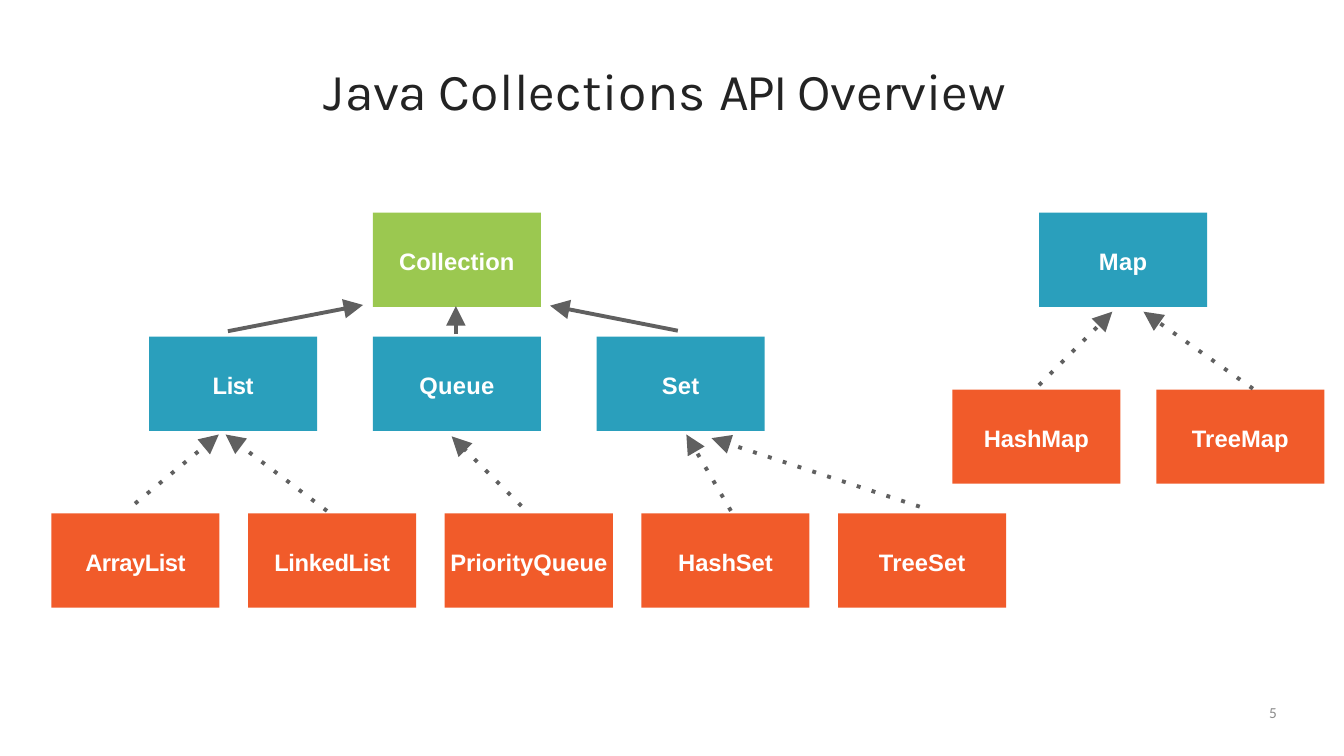
from lxml import etree
from pptx import Presentation
from pptx.dml.color import RGBColor
from pptx.enum import shapes, text
from pptx.oxml import ns
from pptx.util import Pt

GREEN = RGBColor(0x9B, 0xC8, 0x50)
BLUE = RGBColor(0x2A, 0x9F, 0xBC)
ORANGE = RGBColor(0xF1, 0x5B, 0x2A)
GREY = RGBColor(0x60, 0x60, 0x60)
WHITE = RGBColor(0xFF, 0xFF, 0xFF)
DARK = RGBColor(0x23, 0x23, 0x23)
PALE = RGBColor(0x8C, 0x8C, 0x8C)

BOX_W, BOX_H = 198, 111


def write(sp, runs, font="Arial", size=28, color=WHITE, bold=False, wrap=True, top=0,
          align=text.PP_ALIGN.CENTER, anchor=text.MSO_ANCHOR.TOP):
    """Fill a shape with one paragraph made of (text, letter spacing) runs."""
    tf = sp.text_frame
    tf.word_wrap = wrap
    tf.vertical_anchor = anchor
    tf.margin_left = tf.margin_right = tf.margin_bottom = 0
    tf.margin_top = Pt(top)
    p = tf.paragraphs[0]
    p.alignment = align
    for words, spacing in runs:
        r = p.add_run()
        r.text = words
        r.font.name, r.font.size, r.font.bold = font, Pt(size), bold
        r.font.color.rgb = color
        r.font._element.set("spc", str(round(spacing * 100)))


def type_box(s, x, y, label, fill, spacing=0):
    """Draw one box for a collection type."""
    sp = s.shapes.add_shape(shapes.MSO_SHAPE.RECTANGLE, Pt(x), Pt(y), Pt(BOX_W), Pt(BOX_H))
    sp.shadow.inherit = False
    sp.fill.solid()
    sp.fill.fore_color.rgb = fill
    sp.line.fill.background()
    write(sp, [(label, spacing)], bold=True, wrap=False, top=3, anchor=text.MSO_ANCHOR.MIDDLE)


def arrow(s, x, y, points, dotted=False):
    """Draw an arrow from subtype to supertype, relative to x and y."""
    x1, y1, x2, y2 = points
    c = s.shapes.add_connector(shapes.MSO_CONNECTOR.STRAIGHT,
                               Pt(x + x1), Pt(y + y1), Pt(x + x2), Pt(y + y2))
    c.line.color.rgb = GREY
    c.line.width = Pt(4.6)
    ln = c.line._get_or_add_ln()
    if dotted:
        etree.SubElement(ln, ns.qn("a:prstDash"), val="dot")
    etree.SubElement(ln, ns.qn("a:tailEnd"), type="triangle", w="lg", len="lg")
    etree.SubElement(c._element.spPr, ns.qn("a:effectLst"))


def title(s, x, y, w, h):
    """Write the slide title."""
    sp = s.shapes.add_textbox(Pt(x), Pt(y), Pt(w), Pt(h))
    runs = [("J", 0.3), ("a", -0.3), ("va ", -1.1), ("Collections ", 0.5),
            ("API ", -3), ("Overview", -0.3)]
    write(sp, runs, font="Karla", size=61, color=DARK, wrap=False, top=1,
          align=text.PP_ALIGN.LEFT)


def collection_tree(s, x, y):
    """Draw Collection, its interfaces and their implementations."""
    type_box(s, x + 378.7, y, "Collection", GREEN, 0.1)
    interfaces = [("List", -0.5), ("Queue", 0.3), ("Set", 0.3)]
    for i, (label, spacing) in enumerate(interfaces):
        type_box(s, x + 115.2 + 263.5 * i, y + 146.1, label, BLUE, spacing)
    classes = [("ArrayList", -0.6), ("LinkedList", -0.4), ("PriorityQueue", 0),
               ("HashSet", -0.1), ("TreeSet", 0.1)]
    for i, (label, spacing) in enumerate(classes):
        type_box(s, x + 231.7 * i, y + 354.2, label, ORANGE, spacing)
    for points in [(208, 139.6, 367.2, 108.7), (476.6, 143, 476.6, 110),
                   (738, 139, 587.5, 109.5)]:
        arrow(s, x, y, points)
    for points in [(98.6, 342.7, 197.3, 261.3), (324.7, 351.3, 205.2, 261.3),
                   (553.7, 345.6, 471.6, 263.5), (800.6, 351.3, 748.1, 261.3),
                   (1023, 346.3, 777.6, 265.6)]:
        arrow(s, x, y, points, dotted=True)


def map_tree(s, x, y):
    """Draw Map and its implementations."""
    type_box(s, x + 102.2, y, "Map", BLUE, 0.5)
    type_box(s, x, y + 208.3, "HashMap", ORANGE, -0.1)
    type_box(s, x + 240.4, y + 208.3, "TreeMap", ORANGE, 0.1)
    for points in [(102.2, 203, 188.6, 116.6), (354.2, 207.3, 225.3, 116.6)]:
        arrow(s, x, y, points, dotted=True)


def page_number(s, x, y, w, h):
    """Write the page number at the right of its box."""
    sp = s.shapes.add_textbox(Pt(x), Pt(y), Pt(w), Pt(h))
    write(sp, [("5", 0)], font="Calibri", size=18, color=PALE, align=text.PP_ALIGN.RIGHT)


def main():
    """Build the slide and save it."""
    prs = Presentation()
    prs.slide_width, prs.slide_height = Pt(1583.28), Pt(890.64)
    s = prs.slides.add_slide(prs.slide_layouts[6])
    title(s, 381.6, 67.7, 820, 75.6)
    collection_tree(s, 60.5, 250.6)
    map_tree(s, 1121.8, 250.6)
    page_number(s, 1139.8, 828, 364.3, 44.6)
    prs.save("out.pptx")


main()
